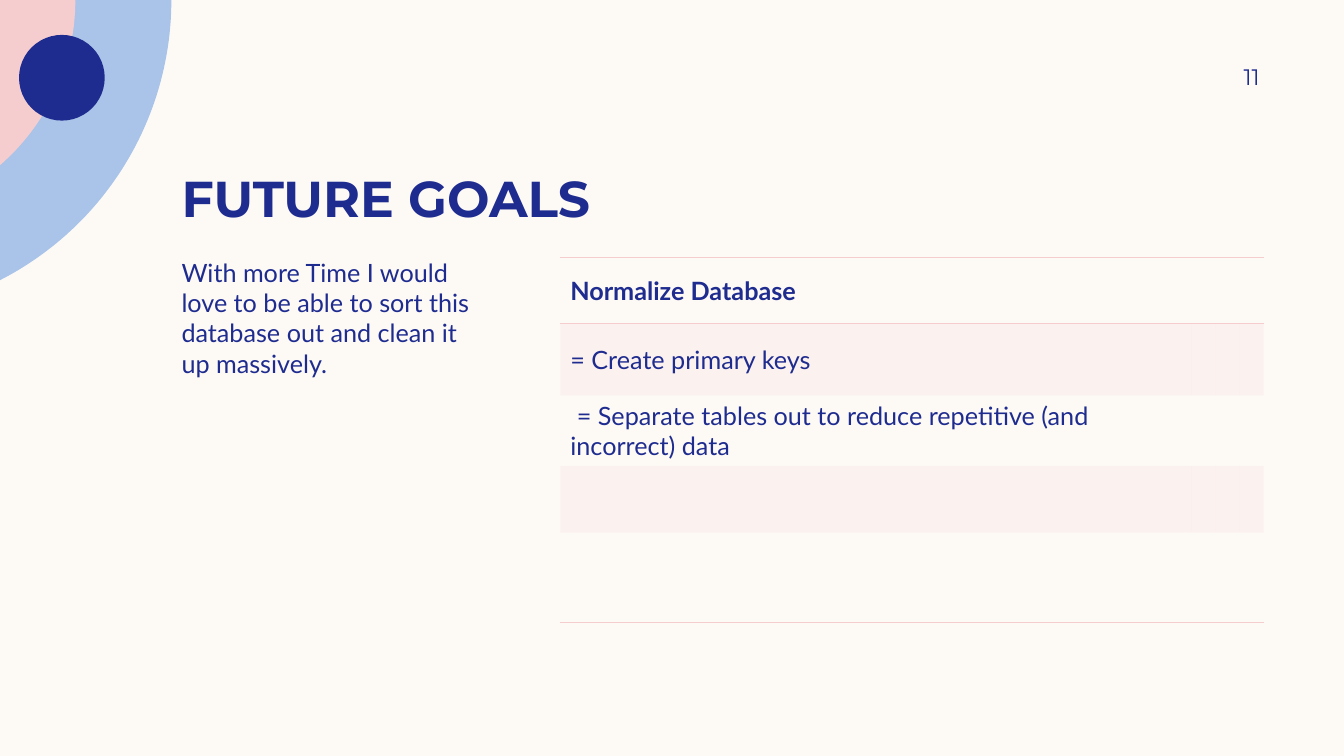
from math import acos, cos, sin

from pptx import Presentation
from pptx.dml.color import RGBColor
from pptx.enum.shapes import MSO_SHAPE as Shape
from pptx.enum.text import MSO_ANCHOR as Anchor, MSO_AUTO_SIZE as AutoSize, PP_ALIGN as Align
from pptx.oxml import parse_xml
from pptx.oxml.ns import nsdecls, qn
from pptx.util import Cm, Pt

CREAM = RGBColor(0xFD, 0xFA, 0xF6)
BLUE = RGBColor(0xAA, 0xC3, 0xE8)
PINK = RGBColor(0xF5, 0xCD, 0xCE)
NAVY = RGBColor(0x1F, 0x2C, 0x8F)
HEADING_FONT, BODY_FONT = "Montserrat", "Lato"
PLAIN_TABLE_STYLE = "{2D5ABB26-0587-4C30-8999-92F81FD0307C}"

GOALS = [
    "Normalize Database",
    "= Create primary keys",
    " = Separate tables out to reduce repetitive (and incorrect) data",
    "",
    "",
]
COLUMN_WIDTHS = [15.9, 0.58, 0.58, 0.58]
ROW_HEIGHTS = [1.68, 1.8, 1.68, 1.68, 2.26]


def style_paragraph(paragraph, font_name, size, bold=False, alignment=Align.LEFT):
    paragraph.alignment = alignment
    font = paragraph.font
    font.name, font.size, font.bold = font_name, Pt(size), bold
    font.color.rgb = NAVY


def place(shape, left, top, width, height):
    shape.left, shape.top = Cm(left), Cm(top)
    shape.width, shape.height = Cm(width), Cm(height)


def set_frame(frame, anchor, vertical_inset=0.0):
    frame.word_wrap = True
    frame.auto_size = AutoSize.NONE
    frame.vertical_anchor = anchor
    frame.margin_top = frame.margin_bottom = Cm(vertical_inset)


def paint(shape, color):
    shape.shadow.inherit = False
    shape.fill.solid()
    shape.fill.fore_color.rgb = color
    shape.line.fill.background()


def add_corner(slide, left, top):
    """Two concentric discs cut by the slide edge, with a dot on top."""
    offset, steps = 3.61, 60
    for radius, color in ((7.93, BLUE), (5.51, PINK)):
        sweep = acos(offset / radius)
        angles = [sweep * step / steps for step in range(steps + 1)]
        arc = [(Cm(left + radius * cos(angle) - offset), Cm(top + radius * sin(angle)))
               for angle in angles]
        builder = slide.shapes.build_freeform(Cm(left), Cm(top), scale=1.0)
        builder.add_line_segments(arc, close=True)
        paint(builder.convert_to_shape(), color)
    dot = slide.shapes.add_shape(
        Shape.OVAL, Cm(left + 0.48), Cm(top + 0.88), Cm(2.16), Cm(2.16))
    paint(dot, NAVY)


def add_title(slide, text, *box):
    title = slide.shapes.title
    place(title, *box)
    set_frame(title.text_frame, Anchor.BOTTOM)
    title.text_frame.text = text
    style_paragraph(title.text_frame.paragraphs[0], HEADING_FONT, 36, bold=True)


def add_body(slide, text, *box):
    body = slide.placeholders[1]
    place(body, *box)
    set_frame(body.text_frame, Anchor.TOP)
    body.text_frame.text = text
    paragraph = body.text_frame.paragraphs[0]
    style_paragraph(paragraph, BODY_FONT, 18)
    paragraph.space_before, paragraph.space_after = Pt(0), Pt(12)
    # No bullet and no hanging indent
    properties = paragraph._p.get_or_add_pPr()
    properties.set("marL", "0")
    properties.set("indent", "0")
    properties.append(parse_xml(f"<a:buNone {nsdecls('a')}/>"))


def add_border(cell, side):
    cell._tc.get_or_add_tcPr().append(parse_xml(
        f'<a:{side} {nsdecls("a")} w="{Pt(1)}"><a:solidFill>'
        f'<a:srgbClr val="{PINK}"/></a:solidFill></a:{side}>'))


def fill_band(cell):
    cell.fill.solid()
    cell.fill.fore_color.rgb = PINK
    color = cell._tc.tcPr.find(qn("a:solidFill")).find(qn("a:srgbClr"))
    color.append(parse_xml(f'<a:alpha {nsdecls("a")} val="20000"/>'))


def add_goals_table(slide, left, top):
    frame = slide.shapes.add_table(
        len(ROW_HEIGHTS), len(COLUMN_WIDTHS), Cm(left), Cm(top),
        Cm(sum(COLUMN_WIDTHS)), Cm(sum(ROW_HEIGHTS)))
    table = frame.table
    table.first_row = table.horz_banding = False
    table._tbl.tblPr.find(qn("a:tableStyleId")).text = PLAIN_TABLE_STYLE
    for column, width in zip(table.columns, COLUMN_WIDTHS):
        column.width = Cm(width)

    borders = {0: ("lnT", "lnB"), len(GOALS) - 1: ("lnB",)}
    for index, (row, height, goal) in enumerate(zip(table.rows, ROW_HEIGHTS, GOALS)):
        row.height = Cm(height)
        row.cells[0].text = goal
        for cell in row.cells:
            cell.vertical_anchor = Anchor.MIDDLE
            style_paragraph(cell.text_frame.paragraphs[0], BODY_FONT, 18, bold=index == 0)
            for side in borders.get(index, ()):
                add_border(cell, side)
            if index % 2:
                fill_band(cell)
            else:
                cell.fill.background()


def add_page_number(slide, text, left, top, width, height):
    number = slide.shapes.add_textbox(Cm(left), Cm(top), Cm(width), Cm(height))
    frame = number.text_frame
    set_frame(frame, Anchor.MIDDLE, 0.13)
    frame.margin_right = 0
    frame.text = text
    style_paragraph(frame.paragraphs[0], HEADING_FONT, 16, alignment=Align.RIGHT)


def build_goals_slide(presentation):
    slide = presentation.slides.add_slide(presentation.slide_layouts[1])
    slide.background.fill.solid()
    slide.background.fill.fore_color.rgb = CREAM
    add_corner(slide, 0, 0)
    add_title(slide, "FUTURE GOALS", 4.32, 3.02, 27.43, 2.72)
    add_body(slide, "With more Time I would love to be able to sort this "
                    "database out and clean it up massively.", 4.32, 6.48, 8.26, 10.29)
    add_goals_table(slide, 14.12, 6.48)
    add_page_number(slide, "11", 28.78, 1.27, 2.97, 1.32)


def main():
    presentation = Presentation()
    presentation.slide_width, presentation.slide_height = Cm(33.87), Cm(19.05)
    build_goals_slide(presentation)
    presentation.save("out.pptx")


if __name__ == "__main__":
    main()
